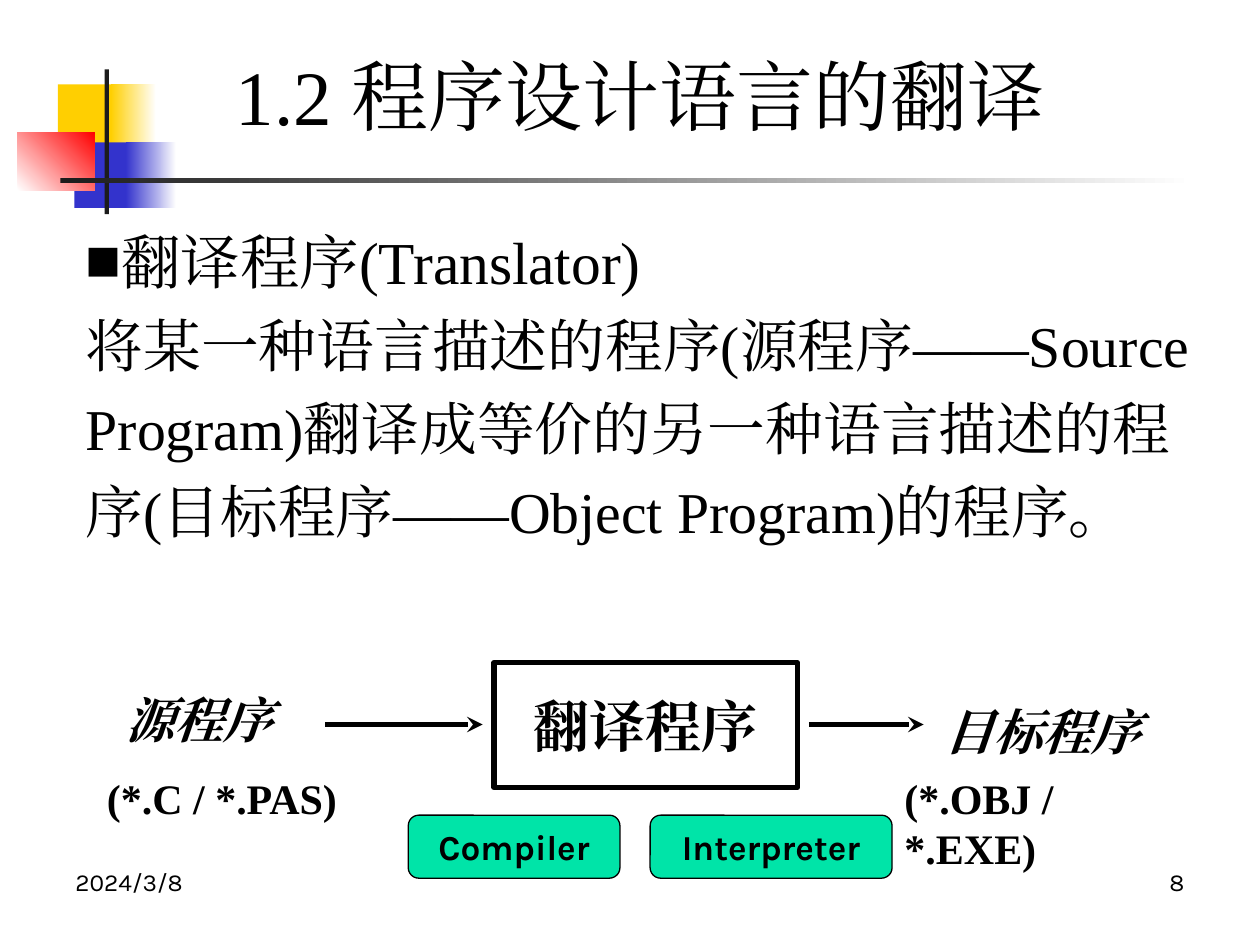
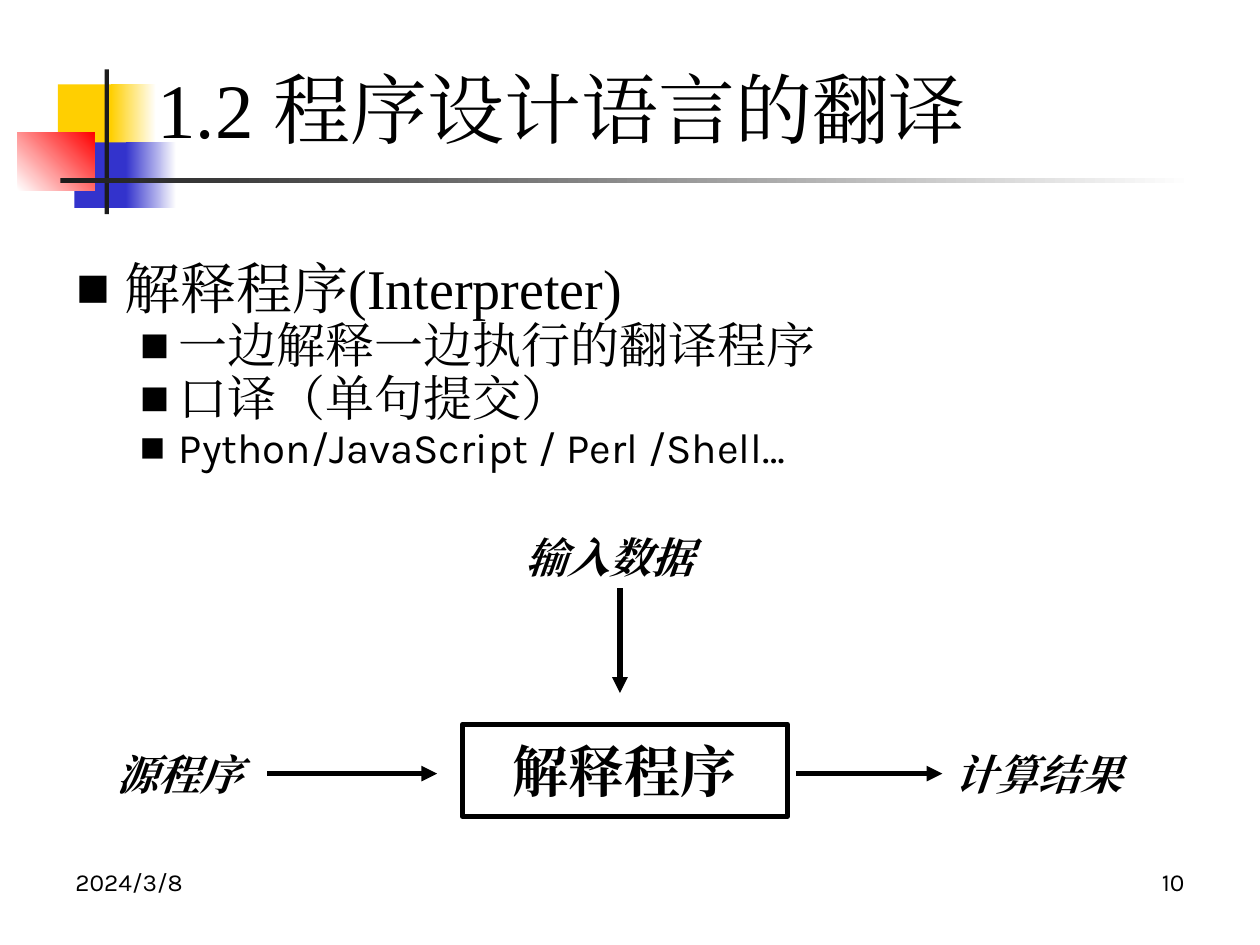
import pptx
import pptx.util
import pptx.dml.color
import pptx.enum.dml
import pptx.enum.shapes
import pptx.enum.text
import pptx.oxml
import pptx.oxml.ns

Pt = pptx.util.Pt
Align = pptx.enum.text.PP_ALIGN
Anchor = pptx.enum.text.MSO_ANCHOR
Kind = pptx.enum.shapes.MSO_SHAPE
qn = pptx.oxml.ns.qn

HEX = {"ink": "000000", "dark": "1C1C1C", "gold": "FFCF01", "blue": "3333CC",
       "red": "FF0000", "white": "FFFFFF", "mint": "00E4A8"}
RGB = {name: pptx.dml.color.RGBColor.from_string(code) for name, code in HEX.items()}
SERIF, SANS = "Times New Roman", "Karla"

# Grid: 100 columns by 75 rows of square cells
deck = pptx.Presentation()
deck.slide_width = pptx.util.Inches(10)
deck.slide_height = pptx.util.Inches(7.5)
cell = deck.slide_width / 100


def grid(*nums):
    return [round(num * cell) for num in nums]


def write(shape, words, size, face=SERIF, bold=False, italic=False,
          align=Align.LEFT, anchor=Anchor.TOP, wrap=True, new=False):
    """Write one paragraph; with new, add it below those already there."""
    frame = shape.text_frame
    look = {"word_wrap": wrap, "vertical_anchor": anchor,
            "auto_size": pptx.enum.text.MSO_AUTO_SIZE.NONE}
    for key, val in look.items():
        setattr(frame, key, val)
    para = frame.add_paragraph() if new else frame.paragraphs[0]
    para.alignment = align
    para.space_before = Pt(0)
    run = para.add_run()
    run.text = words
    font = {"size": Pt(size), "name": face, "bold": bold, "italic": italic}
    for key, val in font.items():
        setattr(run.font, key, val)
    run.font.color.rgb = RGB["ink"]
    east = pptx.oxml.parse_xml(f'<a:ea {pptx.oxml.ns.nsdecls("a")} typeface="{face}"/>')
    run.font._element.append(east)
    return para


# What each slide holds
# body: words, size, face, level, left margin, hanging indent, bullet
# boxes: place, words; labels: place, words, size, italic
pages = [
    {"page": "8", "title": (17.7, 4.2, 67.8, 6.6), "place": (5.8, 16.2, 92.5, 36.3),
     "lead": 1.2, "head": "stealth",
     "body": [
         ("翻译程序(Translator)", 34, SERIF, 0, 0, 0, True),
         ("将某一种语言描述的程序(源程序——Source Program)翻译成等价的"
          "另一种语言描述的程序(目标程序——Object Program)的程序。",
          33, SERIF, 0, 0, 0, False)],
     "box": ((39.2, 52.6, 24.1, 9.9), "翻译程序"),
     "lines": [(64.2, 57.5, 73.3, 57.5), (25.8, 57.5, 38.3, 57.5)],
     "labels": [((9, 54.2, 15.5, 5.7), "源程序", 28, True),
                ((74, 55.2, 19.3, 5.7), "目标程序", 28, True),
                ((7.5, 60.8, 20.5, 5), "(*.C / *.PAS)", 24, False),
                ((70.8, 60.8, 22, 9), "(*.OBJ / *.EXE)", 24, False)],
     "tags": [((32.4, 64.7, 16.8, 5), "Compiler"),
              ((51.6, 64.7, 19.2, 5), "Interpreter")]},
    {"page": "10", "title": (11.5, 4.4, 74.7, 8.3), "place": (5.1, 20.2, 92.8, 16.7),
     "lead": 0.9, "head": "triangle",
     "body": [
         ("解释程序(Interpreter)", 32, SERIF, 0, 3.75, -3.75, True),
         ("一边解释一边执行的翻译程序", 28, SERIF, 1, 8.1, -3.1, True),
         ("口译（单句提交）", 28, SERIF, 1, 8.1, -3.1, True),
         ("Python/JavaScript / Perl /Shell…", 24, SANS, 1, 8.1, -3.1, True)],
     "box": ((36.7, 57.5, 25.8, 7.3), "解释程序"),
     "lines": [(21.2, 61.4, 34.7, 61.4), (63.2, 61.4, 74.8, 61.4),
               (49.2, 46.7, 49.2, 55)],
     "labels": [((8.3, 58.9, 12.9, 5), "源程序", 24, True),
                ((40.7, 41.7, 16.8, 5), "输入数据", 24, True),
                ((74.8, 58.9, 16.9, 5), "计算结果", 24, True)],
     "tags": []},
]

for data in pages:
    slide = deck.slides.add_slide(deck.slide_layouts[1])
    shapes = slide.shapes

    # Title
    title = shapes.title
    title.left, title.top, title.width, title.height = grid(*data["title"])
    write(title, "1.2 程序设计语言的翻译", 44, anchor=Anchor.MIDDLE)

    # Body list
    body = slide.placeholders[1]
    body.left, body.top, body.width, body.height = grid(*data["place"])
    for row, (words, size, face, level, left, hang, mark) in enumerate(data["body"]):
        para = write(body, words, size, face, new=row > 0)
        para.level = level
        para.line_spacing = data["lead"]
        props = para._p.get_or_add_pPr()
        props.set("marL", str(grid(left)[0]))
        props.set("indent", str(grid(hang)[0]))
        if mark:
            for tag, key, val in (("a:buFont", "typeface", SERIF), ("a:buChar", "char", "■")):
                props.append(pptx.oxml.parse_xml(
                    f'<{tag} {pptx.oxml.ns.nsdecls("a")} {key}="{val}"/>'))
        else:
            props.append(pptx.oxml.parse_xml(f'<a:buNone {pptx.oxml.ns.nsdecls("a")}/>'))

    # Process box
    place, words = data["box"]
    box = shapes.add_shape(Kind.RECTANGLE, *grid(*place))
    box.shadow.inherit = False
    box.fill.background()
    box.line.color.rgb = RGB["ink"]
    box.line.width = Pt(3)
    write(box, words, 32, bold=True, align=Align.CENTER, anchor=Anchor.MIDDLE, wrap=False)

    # Arrows
    for ends in data["lines"]:
        line = shapes.add_connector(pptx.enum.shapes.MSO_CONNECTOR.STRAIGHT, *grid(*ends))
        line.line.color.rgb = RGB["ink"]
        line.line.width = Pt(3)
        props = line.element.spPr
        props.find(qn("a:ln")).append(pptx.oxml.parse_xml(
            f'<a:tailEnd {pptx.oxml.ns.nsdecls("a")} type="{data["head"]}"/>'))
        props.append(pptx.oxml.parse_xml(f'<a:effectLst {pptx.oxml.ns.nsdecls("a")}/>'))

    # Labels
    for place, words, size, slant in data["labels"]:
        write(shapes.add_textbox(*grid(*place)), words, size, bold=True, italic=slant)

    # Green tags
    for place, words in data["tags"]:
        tag = shapes.add_shape(Kind.ROUNDED_RECTANGLE, *grid(*place))
        tag.shadow.inherit = False
        tag.fill.solid()
        tag.fill.fore_color.rgb = RGB["mint"]
        tag.line.color.rgb = RGB["ink"]
        tag.line.width = Pt(0.75)
        write(tag, words, 20, SANS, bold=True, align=Align.CENTER, anchor=Anchor.MIDDLE)

    # Date and page number
    for left, words, align in ((5, "2024/3/8", Align.LEFT), (71.7, data["page"], Align.RIGHT)):
        write(shapes.add_textbox(*grid(left, 68.3, 23.3, 5.2)), words, 14, SANS, align=align)

# Shared corner blocks and rule, moved to the master: place, colours, angle
decor = [((4.6, 6.7, 4.8, 5.2), ["gold"], 0),
         ((8.8, 6.7, 3.6, 5.2), ["gold", "white"], 0),
         ((5.9, 11.3, 4.6, 5.2), ["blue"], 0),
         ((10, 11.3, 4, 5.2), ["blue", "white"], 0),
         ((1.4, 10.5, 6.1, 4.6), ["white", "red"], 45),
         ((8.3, 5.5, 0.35, 11.5), ["dark"], 0),
         ((4.8, 14.15, 90, 0.35), ["dark", "white"], 0)]
for place, tones, angle in decor:
    block = deck.slides[0].shapes.add_shape(Kind.RECTANGLE, *grid(*place))
    block.shadow.inherit = False
    block.line.fill.background()
    if len(tones) == 1:
        block.fill.solid()
        block.fill.fore_color.rgb = RGB[tones[0]]
    else:
        block.fill.gradient()
        block.fill.gradient_angle = angle
        for stop, tone in zip(block.fill.gradient_stops, tones):
            stop.color.rgb = RGB[tone]
    deck.slide_master.element.cSld.spTree.append(block.element)

deck.save("out.pptx")
